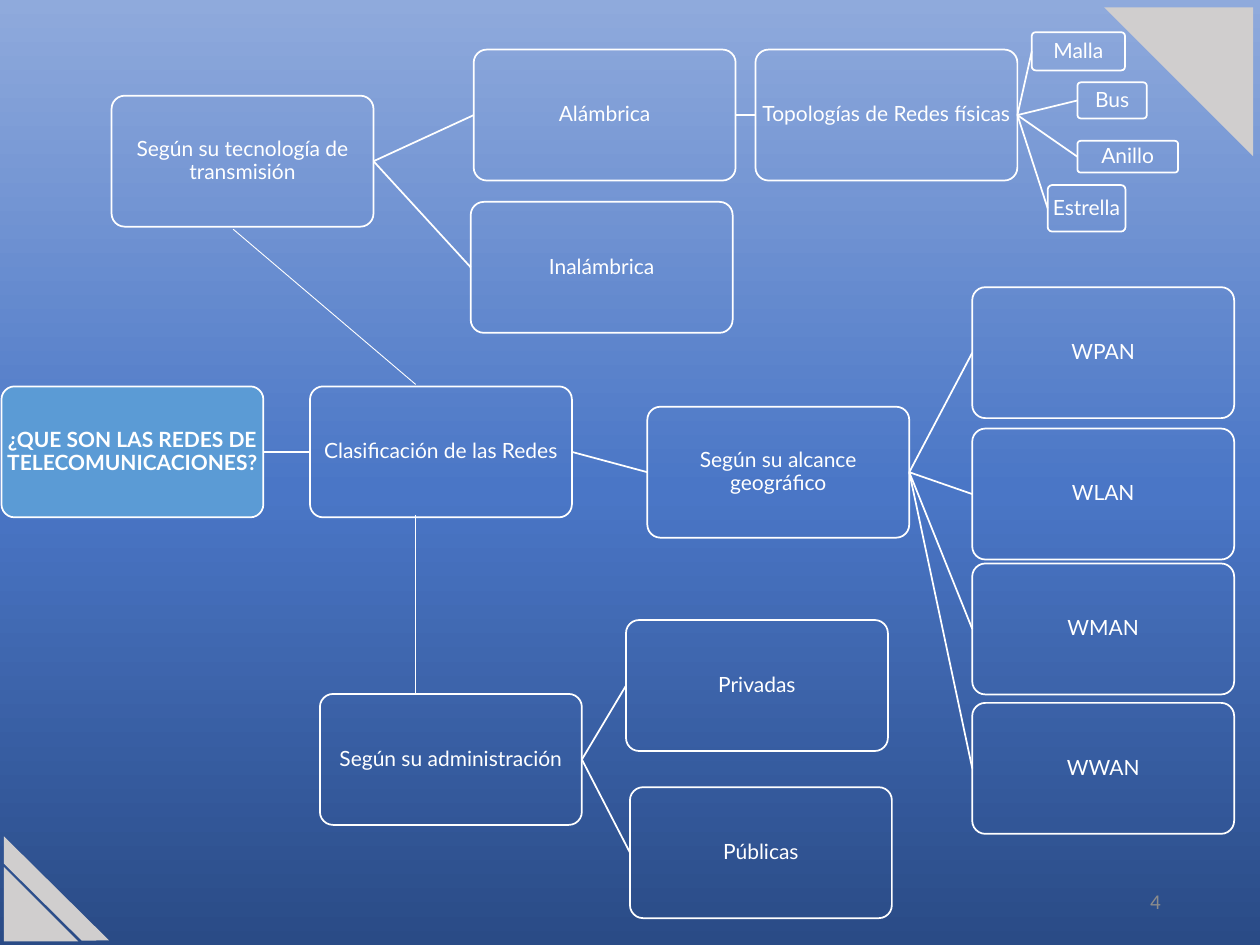
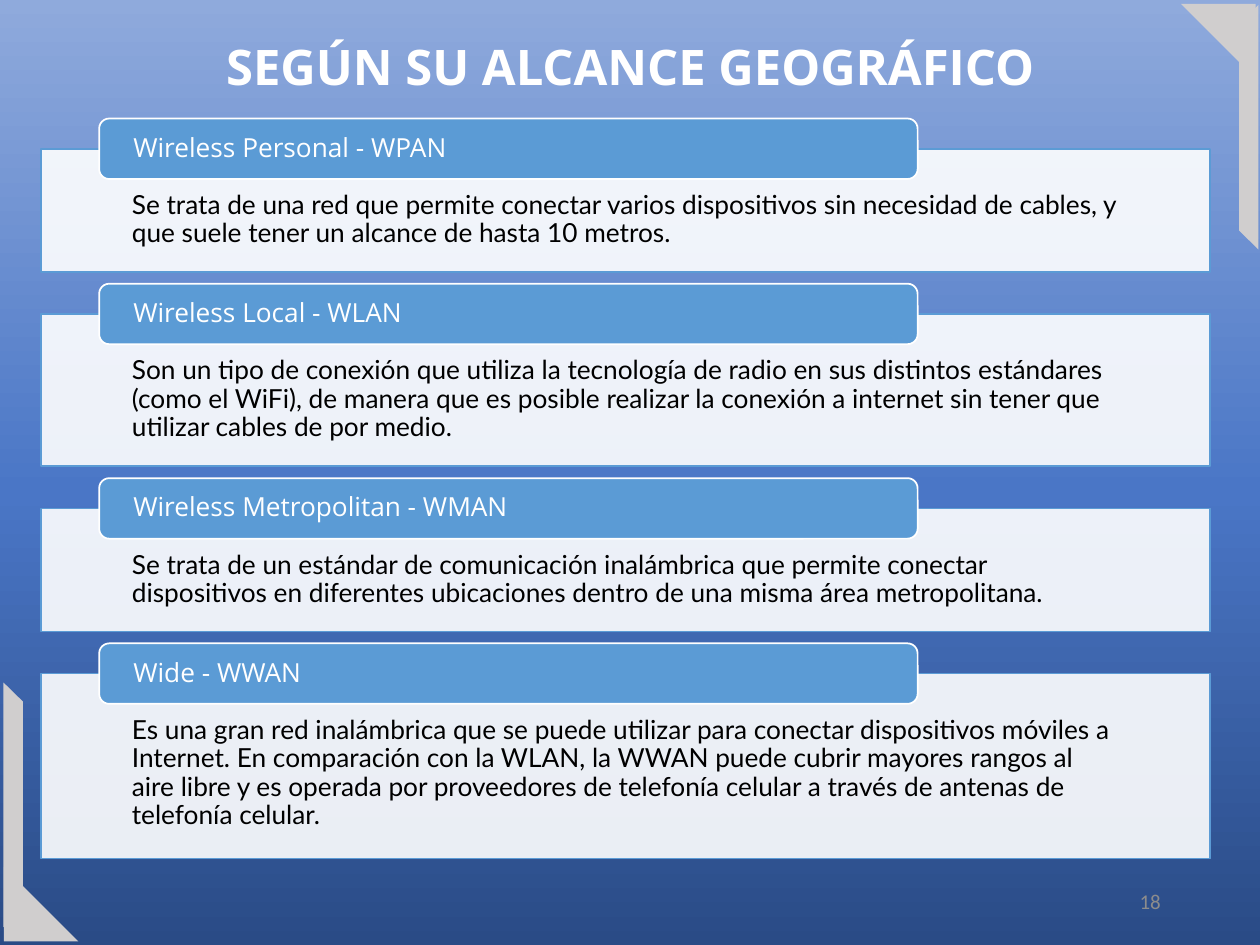
import copy
from dataclasses import dataclass
from typing import Optional

import pptx
import pptx.dml.color
import pptx.enum.shapes
import pptx.enum.text
import pptx.oxml.ns
import pptx.oxml.xmlchemy
import pptx.util
from pptx.util import Cm

RGBColor = pptx.dml.color.RGBColor
Shapes = pptx.enum.shapes.MSO_SHAPE
Align = pptx.enum.text.PP_ALIGN
Anchor = pptx.enum.text.MSO_ANCHOR
Pt = pptx.util.Pt

WHITE = RGBColor(0xFF, 0xFF, 0xFF)
BLACK = RGBColor(0x00, 0x00, 0x00)
NAVY = RGBColor(0x2A, 0x4B, 0x86)
BLUE = RGBColor(0x4A, 0x76, 0xC6)
PALE_BLUE = RGBColor(0x8F, 0xAA, 0xDC)
SKY = RGBColor(0x5B, 0x9B, 0xD5)
SILVER = RGBColor(0xD0, 0xCE, 0xCE)
GREY = RGBColor(0x8C, 0x8C, 0x8C)
BACKDROP = ((0, NAVY), (0.48, BLUE), (1, PALE_BLUE))


@dataclass(frozen=True)
class TextStyle:
    font: dict
    color: RGBColor
    para: dict
    anchor: Anchor = Anchor.MIDDLE
    insets: tuple = (0.25, 0.13, 0.25, 0.13)


@dataclass(frozen=True)
class Ornament:
    kind: Shapes
    place: tuple
    rotation: float = 0
    adjustment: float = 0


@dataclass(frozen=True)
class Node:
    text: str
    left: float
    top: float
    parent: Optional[str] = None
    width: float = 5.28
    height: float = 2.64


@dataclass(frozen=True)
class Network:
    name: str
    description: str
    height: float


TITLE = TextStyle({"name": "Open Sans", "size": Pt(28), "bold": True}, WHITE,
                  {"alignment": Align.CENTER}, Anchor.TOP)
NUMBER = TextStyle({"name": "Calibri", "size": Pt(12)}, GREY, {"alignment": Align.RIGHT})
NODE = TextStyle({"name": "Lato", "size": Pt(12)}, WHITE,
                 {"alignment": Align.CENTER, "line_spacing": 0.9}, insets=(0.02,) * 4)
ROOT = TextStyle({**NODE.font, "bold": True}, WHITE, NODE.para, insets=NODE.insets)
HEADING = TextStyle({"name": "Open Sans", "size": Pt(15)}, WHITE,
                    {"alignment": Align.LEFT, "line_spacing": 0.9},
                    insets=(0.63, 0, 0.63, 0))
DESCRIPTION = TextStyle({"name": "Lato", "size": Pt(15)}, BLACK, HEADING.para,
                        Anchor.TOP, (1.83, 0.87, 1.83, 0.3))

CORNER = Ornament(Shapes.ISOSCELES_TRIANGLE, (0.08, 17.48, 1.5, 1.5))
MAP_ORNAMENTS = (
    Ornament(Shapes.ISOSCELES_TRIANGLE, (22.26, 0.15, 3, 3), 180),
    Ornament(Shapes.TRAPEZOID, (-0.49, 17.85, 2.98, 0.39), 224.7, 0.98),
)
REACH_ORNAMENTS = (
    Ornament(Shapes.TRAPEZOID, (-2.2, 16.03, 4.93, 0.39), 90, 0.98),
    Ornament(Shapes.ISOSCELES_TRIANGLE, (23.81, 0.08, 1.5, 1.5), 180),
    Ornament(Shapes.TRAPEZOID, (22.71, 2.37, 4.93, 0.39), 270, 0.98),
)

QUESTION = "¿QUE SON LAS REDES DE TELECOMUNICACIONES?"
CLASSES = "Clasificación de las Redes"
TECHNOLOGY = "Según su tecnología de transmisión"
MANAGEMENT = "Según su administración"
REACH = "Según su alcance geográfico"
WIRED = "Alámbrica"
TOPOLOGIES = "Topologías de Redes físicas"

NODES = (
    Node(QUESTION, 0.03, 7.79),
    Node(CLASSES, 6.25, 7.79, QUESTION),
    Node(MANAGEMENT, 6.45, 13.99),
    Node("Privadas", 12.62, 12.5, MANAGEMENT),
    Node("Públicas", 12.7, 15.87, MANAGEMENT),
    Node(TECHNOLOGY, 2.25, 1.93),
    Node(WIRED, 9.55, 1, TECHNOLOGY),
    Node(TOPOLOGIES, 15.23, 1, WIRED),
    Node("Malla", 20.8, 0.65, TOPOLOGIES, 1.88, 0.77),
    Node("Bus", 21.72, 1.66, TOPOLOGIES, 1.4, 0.73),
    Node("Anillo", 21.72, 2.84, TOPOLOGIES, 2.03, 0.64),
    Node("Estrella", 21.12, 3.73, TOPOLOGIES, 1.57, 0.94),
    Node("Inalámbrica", 9.49, 4.07, TECHNOLOGY),
    Node(REACH, 13.05, 8.2, CLASSES),
    Node("WPAN", 19.6, 5.79, REACH),
    Node("WLAN", 19.6, 8.64, REACH),
    Node("WMAN", 19.6, 11.36, REACH),
    Node("WWAN", 19.6, 14.17, REACH),
)
THIN_LINES = ((4.7, 4.62, 8.38, 7.75), (8.38, 10.39, 8.38, 13.99))

NETWORKS = (
    Network("Wireless Personal - WPAN",
            "Se trata de una red que permite conectar varios dispositivos sin necesidad "
            "de cables, y que suele tener un alcance de hasta 10 metros.", 2.48),
    Network("Wireless Local - WLAN",
            "Son un tipo de conexión que utiliza la tecnología de radio en sus distintos "
            "estándares (como el WiFi), de manera que es posible realizar la conexión a "
            "internet sin tener que utilizar cables de por medio.", 3.07),
    Network("Wireless Metropolitan - WMAN",
            "Se trata de un estándar de comunicación inalámbrica que permite conectar "
            "dispositivos en diferentes ubicaciones dentro de una misma área "
            "metropolitana.", 2.48),
    Network("Wide - WWAN",
            "Es una gran red inalámbrica que se puede utilizar para conectar dispositivos "
            "móviles a Internet. En comparación con la WLAN, la WWAN puede cubrir mayores "
            "rangos al aire libre y es operada por proveedores de telefonía celular a "
            "través de antenas de telefonía celular.", 3.73),
)
FIRST_PANEL_TOP = 3
PANEL_GAP = 0.85


def set_all(target, values: dict) -> None:
    for name, value in values.items():
        setattr(target, name, value)


def write(box, text: str, style: TextStyle) -> None:
    frame = box.text_frame
    sides = ("margin_left", "margin_top", "margin_right", "margin_bottom")
    set_all(frame, {"word_wrap": True, "vertical_anchor": style.anchor,
                    **dict(zip(sides, map(Cm, style.insets)))})
    para = frame.paragraphs[0]
    set_all(para, style.para)
    span = para.add_run()
    span.text = text
    set_all(span.font, style.font)
    span.font.color.rgb = style.color


def add_text(page, place: tuple, text: str, style: TextStyle) -> None:
    write(page.shapes.add_textbox(*map(Cm, place)), text, style)


def add_box(page, kind: Shapes, place: tuple, fill: Optional[RGBColor] = None,
            line: Optional[RGBColor] = None):
    box = page.shapes.add_shape(kind, *map(Cm, place))
    box.shadow.inherit = False
    if fill is None:
        box.fill.background()
    else:
        box.fill.solid()
        box.fill.fore_color.rgb = fill
    if line is None:
        box.line.fill.background()
    else:
        box.line.color.rgb = line
        box.line.width = Pt(1)
    return box


def add_line(page, ends: tuple = (0, 0, 0, 0), width: float = 1):
    line = page.shapes.add_connector(pptx.enum.shapes.MSO_CONNECTOR.STRAIGHT,
                                     *map(Cm, ends))
    line.line.color.rgb = WHITE
    line.line.width = Pt(width)
    line.element.spPr.append(pptx.oxml.xmlchemy.OxmlElement("a:effectLst"))
    return line


def paint_backdrop(deck) -> None:
    master = deck.slide_master
    fill = master.background.fill
    fill.gradient()
    fill.gradient_angle = 90
    stops = master.element.find(".//" + pptx.oxml.ns.qn("a:gsLst"))
    stops.append(copy.deepcopy(stops[0]))
    for stop, (position, color) in zip(fill.gradient_stops, BACKDROP):
        stop.position = position
        stop.color.rgb = color


def add_page(deck, number: str, ornaments: tuple):
    page = deck.slides.add_slide(deck.slide_layouts[6])
    add_text(page, (17.93, 17.65, 5.72, 1.02), number, NUMBER)
    for ornament in (CORNER, *ornaments):
        box = add_box(page, ornament.kind, ornament.place, SILVER)
        box.adjustments[0] = ornament.adjustment
        box.rotation = ornament.rotation
    return page


def build_map(deck) -> None:
    page = add_page(deck, "4", MAP_ORNAMENTS)
    boxes = {}
    for node in NODES:
        is_root = node.text == QUESTION
        box = add_box(page, Shapes.ROUNDED_RECTANGLE,
                      (node.left, node.top, node.width, node.height),
                      SKY if is_root else None, WHITE)
        box.adjustments[0] = 0.1
        write(box, node.text, ROOT if is_root else NODE)
        boxes[node.text] = box
        if node.parent:
            branch = add_line(page)
            branch.begin_connect(boxes[node.parent], 3)
            branch.end_connect(box, 1)
    for ends in THIN_LINES:
        add_line(page, ends, 0.5)


def build_reach(deck) -> None:
    page = add_page(deck, "18", REACH_ORNAMENTS)
    add_text(page, (0, 0.61, 25.4, 1.45), "SEGÚN SU ALCANCE GEOGRÁFICO", TITLE)
    top = FIRST_PANEL_TOP
    for network in NETWORKS:
        panel = add_box(page, Shapes.RECTANGLE, (0.83, top, 23.57, network.height),
                        WHITE, SKY)
        alpha = pptx.oxml.xmlchemy.OxmlElement("a:alpha")
        alpha.set("val", "90000")
        panel.element.spPr.find(".//" + pptx.oxml.ns.qn("a:srgbClr")).append(alpha)
        write(panel, network.description, DESCRIPTION)
        heading = add_box(page, Shapes.ROUNDED_RECTANGLE, (2, top - 0.61, 16.5, 1.22),
                          SKY, WHITE)
        write(heading, network.name, HEADING)
        top += network.height + PANEL_GAP


def main() -> None:
    deck = pptx.Presentation()
    set_all(deck, {"slide_width": Cm(25.4), "slide_height": Cm(19.05)})
    paint_backdrop(deck)
    build_map(deck)
    build_reach(deck)
    deck.save("out.pptx")


if __name__ == "__main__":
    main()
